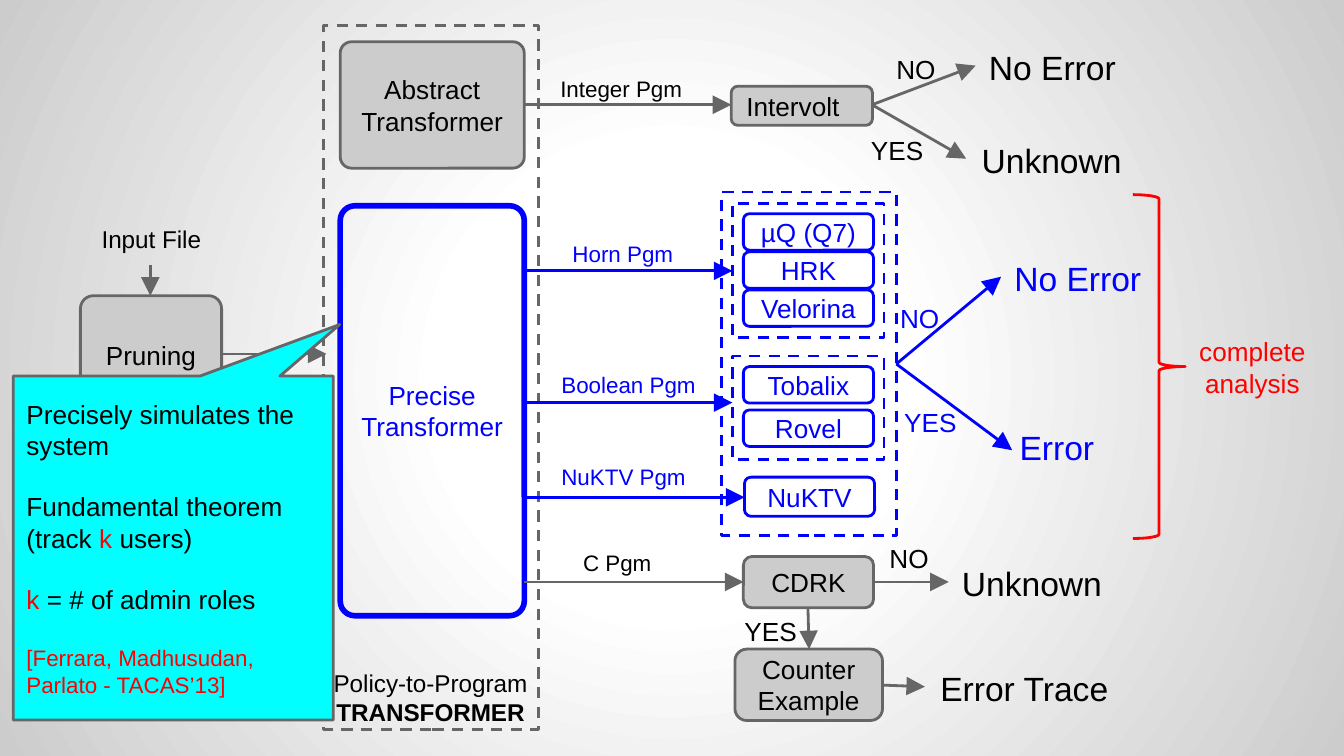
from dataclasses import dataclass

from pptx import Presentation
from pptx.dml.color import RGBColor
from pptx.enum.dml import MSO_LINE
from pptx.enum.shapes import MSO_CONNECTOR, MSO_SHAPE
from pptx.enum.text import MSO_ANCHOR, PP_ALIGN
from pptx.oxml import parse_xml
from pptx.oxml.ns import nsdecls, qn
from pptx.util import Cm, Pt

RECT, ROUNDED = MSO_SHAPE.RECTANGLE, MSO_SHAPE.ROUNDED_RECTANGLE
BRACE, CALLOUT = MSO_SHAPE.RIGHT_BRACE, MSO_SHAPE.ROUNDED_RECTANGULAR_CALLOUT
STRAIGHT, DASH = MSO_CONNECTOR.STRAIGHT, MSO_LINE.DASH
LEFT, CENTER = PP_ALIGN.LEFT, PP_ALIGN.CENTER
TOP, MIDDLE = MSO_ANCHOR.TOP, MSO_ANCHOR.MIDDLE
BLACK, GREY, SILVER = "000000", "666666", "CCCCCC"
BLUE, RED, CYAN = "0000FF", "FF0000", "00FFFF"
FONT = "Arial"


@dataclass
class Run:
    text: str
    size: float = 14
    color: str = BLACK
    bold: bool = False


@dataclass
class Paragraph:
    runs: list[Run]
    gap: float = 0


@dataclass
class Outline:
    at: tuple[float, float, float, float]
    color: str = GREY
    fill: str | None = None
    weight: float = 1.5
    kind: int = ROUNDED
    adjust: tuple[float, ...] = ()
    dashed: bool = False


@dataclass
class Stage:
    text: str
    outline: Outline
    align: int = CENTER


@dataclass
class Label:
    text: str
    at: tuple[float, float, float, float]
    size: float = 14
    color: str = BLACK
    align: int = LEFT
    anchor: int = TOP


@dataclass
class Arrow:
    start: tuple[float, float]
    end: tuple[float, float]
    color: str = GREY


def rgb(value: str) -> RGBColor:
    return RGBColor.from_string(value)


def plain(text: str, size: float, color: str) -> list[Paragraph]:
    return [Paragraph([Run(line, size, color)]) for line in text.split("\n")]


def write(shape, paragraphs: list[Paragraph], align: int, anchor: int) -> None:
    frame = shape.text_frame
    frame.word_wrap = True
    frame.vertical_anchor = anchor
    frame.margin_left = frame.margin_right = Cm(0.25)
    frame.margin_top = frame.margin_bottom = Cm(0.25)
    for index, content in enumerate(paragraphs):
        paragraph = frame.add_paragraph() if index else frame.paragraphs[0]
        paragraph.alignment = align
        paragraph.space_before = Pt(content.gap)
        for part in content.runs:
            run = paragraph.add_run()
            run.text = part.text
            run.font.name = FONT
            run.font.size = Pt(part.size)
            run.font.bold = part.bold
            run.font.color.rgb = rgb(part.color)


def draw_outline(slide, outline: Outline):
    shape = slide.shapes.add_shape(outline.kind, *map(Cm, outline.at))
    shape.shadow.inherit = False
    for index, value in enumerate(outline.adjust):
        shape.adjustments[index] = value
    if outline.fill:
        shape.fill.solid()
        shape.fill.fore_color.rgb = rgb(outline.fill)
    else:
        shape.fill.background()
    shape.line.color.rgb = rgb(outline.color)
    shape.line.width = Pt(outline.weight)
    if outline.dashed:
        shape.line.dash_style = DASH
    return shape


def draw_stage(slide, stage: Stage) -> None:
    color = BLACK if stage.outline.fill else BLUE
    shape = draw_outline(slide, stage.outline)
    write(shape, plain(stage.text, 14, color), stage.align, MIDDLE)


def draw_label(slide, label: Label) -> None:
    box = slide.shapes.add_textbox(*map(Cm, label.at))
    write(box, plain(label.text, label.size, label.color), label.align, label.anchor)


def draw_arrow(slide, arrow: Arrow) -> None:
    connector = slide.shapes.add_connector(STRAIGHT, *map(Cm, arrow.start + arrow.end))
    connector.line.color.rgb = rgb(arrow.color)
    connector.line.width = Pt(1.5)
    line = connector.element.find(".//" + qn("a:ln"))
    line.append(parse_xml(f'<a:tailEnd {nsdecls("a")} type="triangle" w="lg" len="lg"/>'))
    line.addnext(parse_xml(f'<a:effectLst {nsdecls("a")}/>'))


def paint_background(slide) -> None:
    slide.background.fill.solid()
    solid = slide.element.find(".//" + qn("p:bgPr")).find(qn("a:solidFill"))
    stops = "".join(
        f'<a:gs pos="{position}000"><a:srgbClr val="{color}"/></a:gs>'
        for position, color in ((0, "FFFFFF"), (30, "FFFFFF"), (100, SILVER))
    )
    solid.getparent().replace(solid, parse_xml(
        f'<a:gradFill {nsdecls("a")}><a:gsLst>{stops}</a:gsLst><a:path path="circle">'
        '<a:fillToRect l="50000" t="50000" r="50000" b="50000"/></a:path></a:gradFill>'
    ))


def solver(text: str, top: float) -> Stage:
    return Stage(text, Outline((14.05, top, 2.46, 0.69), BLUE))


FRAMES = [
    Outline((13.64, 3.63, 3.3, 6.5), BLUE, kind=RECT, dashed=True),
    Outline((13.84, 6.73, 2.87, 1.96), BLUE, kind=RECT, dashed=True),
    Outline((13.84, 3.84, 2.87, 2.54), BLUE, kind=RECT, dashed=True),
    Outline((6.12, 0.48, 4.06, 13.31), kind=RECT, dashed=True),
]
STAGES = [
    Stage("Pruning", Outline((1.52, 5.59, 2.67, 2.24), fill=SILVER, adjust=(0.11,))),
    Stage("Abstract Transformer", Outline((6.43, 0.79, 3.48, 2.39), fill=SILVER, adjust=(0.09,))),
    Stage("Precise\nTransformer", Outline((6.43, 3.89, 3.48, 7.75), BLUE, weight=3, adjust=(0.08,))),
    Stage("Intervolt", Outline((13.82, 1.63, 2.67, 0.74), fill=SILVER), LEFT),
    Stage("CDRK", Outline((14.05, 10.52, 2.46, 0.97), fill=SILVER)),
    Stage("Counter\nExample", Outline((13.89, 12.27, 2.79, 1.35), fill=SILVER)),
    Stage("NuKTV", Outline((14.07, 9.02, 2.46, 0.74), BLUE)),
    *(solver(name, 4.04 + 0.72 * row) for row, name in enumerate(("µQ (Q7)", "HRK", "Velorina"))),
    *(solver(name, 6.93 + 0.82 * row) for row, name in enumerate(("Tobalix", "Rovel"))),
]
ARROWS = [
    Arrow((2.84, 5), (2.84, 5.59)),
    Arrow((4.19, 6.69), (6.17, 6.69)),
    Arrow((9.93, 1.98), (13.82, 1.98)),
    Arrow((9.91, 5.12), (13.84, 5.12), BLUE),
    Arrow((9.91, 7.61), (13.84, 7.61), BLUE),
    Arrow((9.91, 9.4), (14.07, 9.4), BLUE),
    Arrow((9.91, 11), (14.05, 11)),
    Arrow((16.48, 1.98), (18.44, 1.24)),
    Arrow((16.48, 1.98), (18.26, 3)),
    Arrow((16.94, 6.88), (18.92, 5.23), BLUE),
    Arrow((16.94, 6.88), (19.13, 8.51), BLUE),
    Arrow((16.51, 11), (17.93, 11)),
    Arrow((15.27, 11.51), (15.29, 12.27)),
    Arrow((16.69, 12.95), (17.48, 12.98)),
]
LABELS = [
    Label("Input File", (1.63, 3.99, 2.46, 0.99), 13, align=CENTER),
    Label("Integer Pgm", (10.34, 1.17, 3.07, 1.22), 12),
    Label("Horn Pgm", (10.57, 4.29, 3.07, 0.81), 12, BLUE),
    Label("Boolean Pgm", (10.36, 6.76, 3.07, 0.99), 12, BLUE),
    Label("NuKTV Pgm", (10.36, 8.51, 3.07, 0.97), 12, BLUE),
    Label("C Pgm", (10.77, 10.13, 2.03, 1.09), 12),
    Label("NO", (16.69, 0.76, 1.4, 0.97)),
    Label("YES", (16.21, 2.29, 1.57, 0.81)),
    Label("NO", (16.76, 5.46, 1.4, 0.74), color=BLUE),
    Label("YES", (16.84, 7.44, 1.75, 0.99), color=BLUE),
    Label("NO", (16.56, 10.21, 1.3, 0.69), anchor=MIDDLE),
    Label("YES", (13.82, 11.38, 1.57, 1.22)),
    Label("No Error", (18.44, 0.64, 3.07, 1.22), 18),
    Label("Unknown", (18.26, 2.39, 3.23, 1.22), 18, align=CENTER),
    Label("No Error", (18.92, 4.62, 3.07, 1.22), 18, BLUE),
    Label("Error", (18.44, 7.82, 3.07, 1.22), 18, BLUE, CENTER),
    Label("Unknown", (17.93, 10.39, 3.43, 1.22), 18),
    Label("Error Trace", (17.48, 12.37, 3.76, 1.22), 18, align=CENTER),
    Label("complete\nanalysis", (22.02, 5.82, 3.3, 2.24), 14, RED, CENTER, MIDDLE),
]
TRANSFORMER_TITLE = [
    Paragraph([Run("Policy-to-Program", 13)]),
    Paragraph([Run("TRANSFORMER", 13, bold=True)]),
]
THEOREM = [
    Paragraph([Run("Precisely simulates the system")]),
    Paragraph([Run("Fundamental theorem")], 16),
    Paragraph([Run("(track "), Run("k", color=RED), Run(" users)")]),
    Paragraph([Run("k", color=RED), Run(" = # of admin roles")], 16),
    Paragraph([Run("[Ferrara, Madhusudan, Parlato - TACAS’13]", 12, RED)], 16),
]


def main() -> None:
    deck = Presentation()
    deck.slide_width, deck.slide_height = Cm(25.4), Cm(14.29)
    slide = deck.slides.add_slide(deck.slide_layouts[6])
    paint_background(slide)
    for frame in FRAMES:
        draw_outline(slide, frame)
    for stage in STAGES:
        draw_stage(slide, stage)
    for arrow in ARROWS:
        draw_arrow(slide, arrow)
    for label in LABELS:
        draw_label(slide, label)
    title = slide.shapes.add_textbox(Cm(5.99), Cm(12.57), Cm(4.29), Cm(1.22))
    write(title, TRANSFORMER_TITLE, CENTER, MIDDLE)
    draw_outline(slide, Outline((21.41, 3.68, 0.99, 6.5), RED, kind=BRACE, adjust=(0.08, 0.5)))
    theorem = draw_outline(slide, Outline(
        (0.25, 7.11, 6.05, 6.5), fill=CYAN, kind=CALLOUT, adjust=(0.52, -0.65, 0)))
    write(theorem, THEOREM, LEFT, MIDDLE)
    deck.save("out.pptx")


if __name__ == "__main__":
    main()
